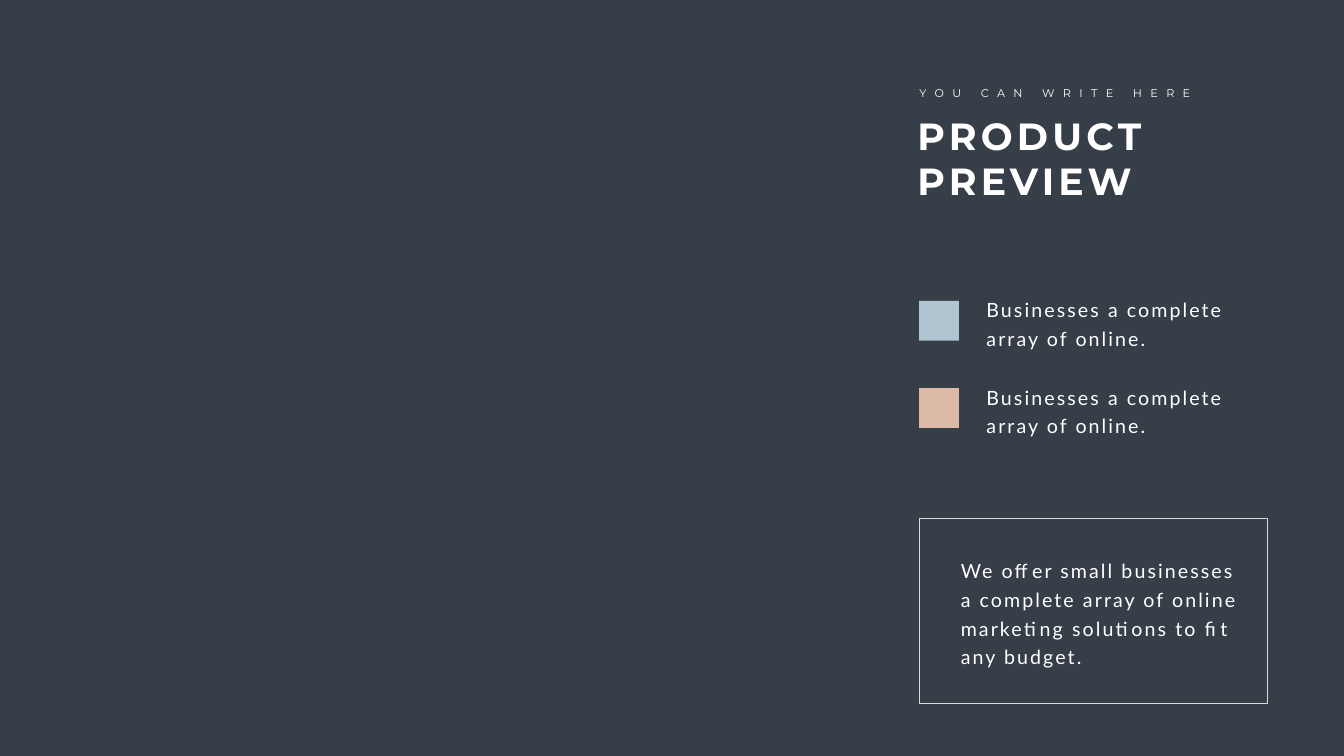
from dataclasses import dataclass

from pptx import Presentation
from pptx.dml.color import RGBColor
from pptx.enum.shapes import MSO_SHAPE
from pptx.enum.text import MSO_AUTO_SIZE
from pptx.util import Pt

RECTANGLE = MSO_SHAPE.RECTANGLE
GROW = MSO_AUTO_SIZE.SHAPE_TO_FIT_TEXT


@dataclass(frozen=True)
class Theme:
    background: str = "363E48"
    text: str = "FFFFFF"
    blue: str = "B1C4D2"
    peach: str = "DDB9A7"
    frame: str = "D9D9D9"
    heading_font: str = "Montserrat"
    body_font: str = "Lato"
    title_size: float = 54
    kicker_size: float = 16
    body_size: float = 28
    body_leading: float = 40.8
    body_tracking: float = 3


THEME = Theme()


def add_text(slide, text, box, *, font=THEME.body_font, size=THEME.body_size,
             bold=False, tracking=THEME.body_tracking, leading=None, wrap=True):
    frame = slide.shapes.add_textbox(*map(Pt, box)).text_frame
    frame.word_wrap = wrap
    frame.auto_size = GROW
    paragraph = frame.paragraphs[0]
    if leading:
        paragraph.line_spacing = Pt(leading)
    run = paragraph.add_run()
    run.text = text
    run.font.name = font
    run.font.size = Pt(size)
    run.font.bold = bold
    run.font.color.rgb = RGBColor.from_string(THEME.text)
    run.font._element.set("spc", str(round(tracking * 100)))


def add_rectangle(slide, box, fill=None, line=None):
    rectangle = slide.shapes.add_shape(RECTANGLE, *map(Pt, box))
    rectangle.shadow.inherit = False
    if fill:
        rectangle.fill.solid()
        rectangle.fill.fore_color.rgb = RGBColor.from_string(fill)
    else:
        rectangle.fill.background()
    if line:
        rectangle.line.color.rgb = RGBColor.from_string(line)
        rectangle.line.width = Pt(1)
    else:
        rectangle.line.fill.background()


def add_heading(slide, box, kicker, title):
    left, top, width, height = box
    add_text(slide, title, (left, top + 36.8, width, height - 36.8),
             font=THEME.heading_font, size=THEME.title_size, bold=True, tracking=6)
    add_text(slide, kicker, (left + 2.9, top, width - 2.2, 26.6),
             font=THEME.heading_font, size=THEME.kicker_size, tracking=12, wrap=False)


def add_legend(slide, box, entries):
    left, top, width, height = box
    swatch, label_offset, label_height = 56.9, 89.2, 85.7
    pitch = (height - label_height) / (len(entries) - 1)
    for index, (color, label) in enumerate(entries):
        row_top = top + index * pitch
        add_text(slide, label, (left + label_offset, row_top, width - label_offset, label_height),
                 leading=THEME.body_leading)
        add_rectangle(slide, (left, row_top + (label_height - swatch) / 2, swatch, swatch), fill=color)


def add_note(slide, box, note):
    left, top, width, height = box
    inset_x, inset_y = 52.5, 47.5
    add_rectangle(slide, box, line=THEME.frame)
    add_text(slide, note, (left + inset_x, top + inset_y, 409.7, height - 2 * inset_y),
             leading=THEME.body_leading)


def main():
    presentation = Presentation()
    presentation.slide_width = Pt(1919.52)
    presentation.slide_height = Pt(1080)
    slide = presentation.slides.add_slide(presentation.slide_layouts[6])
    slide.background.fill.solid()
    slide.background.fill.fore_color.rgb = RGBColor.from_string(THEME.background)

    label = "Businesses a complete array of online."
    add_heading(slide, (1303.2, 120.2, 418.3, 175), "YOU CAN WRITE HERE", "PRODUCT PREVIEW")
    add_legend(slide, (1312.6, 415.4, 462.2, 210.3), [(THEME.blue, label), (THEME.peach, label)])
    add_note(slide, (1312.6, 740.9, 497.5, 263.5),
             "We offer small businesses a complete array of online marketing solutions to fit any budget.")
    presentation.save("out.pptx")


if __name__ == "__main__":
    main()
